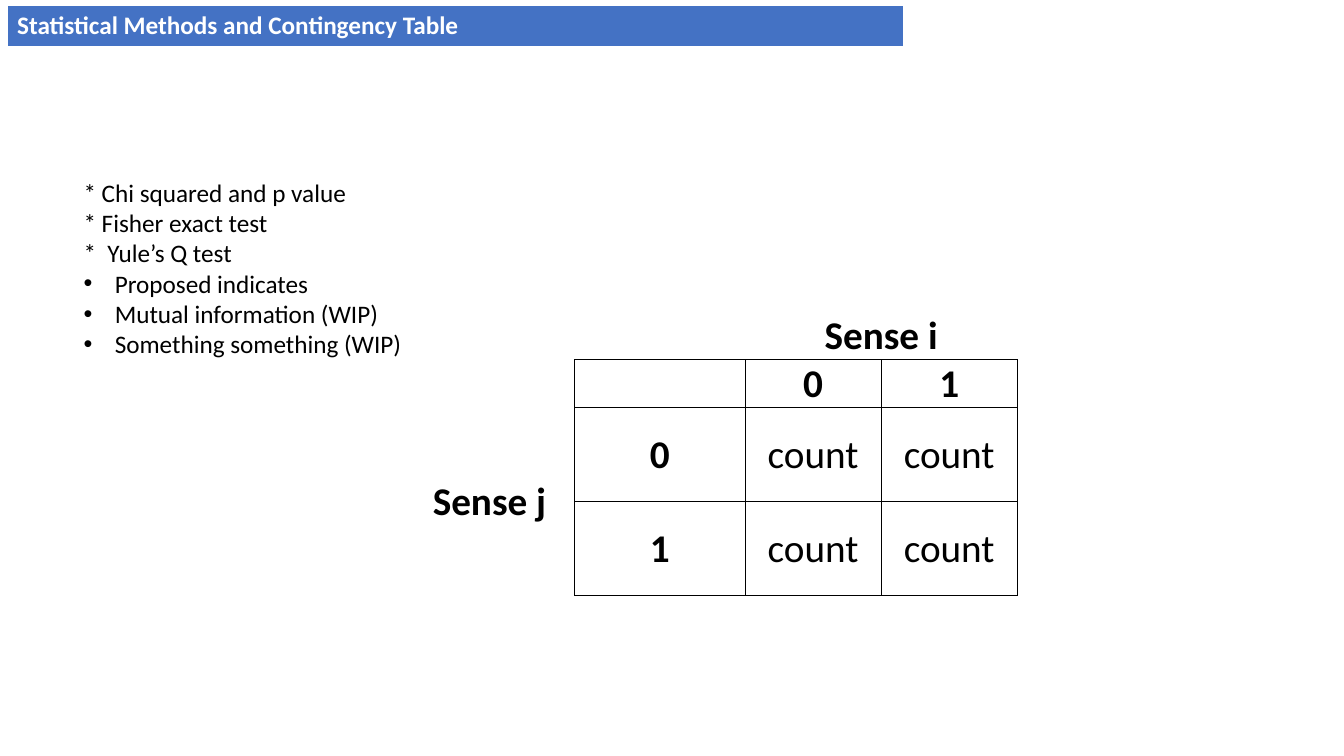
from dataclasses import dataclass

from lxml.etree import SubElement
from pptx import Presentation
from pptx.dml.color import RGBColor
from pptx.enum.text import MSO_ANCHOR, MSO_AUTO_SIZE, PP_ALIGN
from pptx.oxml.ns import qn
from pptx.slide import Slide
from pptx.table import Table, _Cell
from pptx.text.text import TextFrame, _Paragraph
from pptx.util import Inches, Pt


@dataclass(frozen=True)
class Theme:
    """Colours, font and type sizes of the slide."""

    font: str = "Calibri"
    ink: str = "000000"
    paper: str = "FFFFFF"
    banner: str = "4472C4"
    body_size: int = 18
    count_size: int = 28
    grid_width: float = 0.5


@dataclass(frozen=True)
class Method:
    """A line in the list of statistical methods."""

    text: str
    bulleted: bool = False


@dataclass(frozen=True)
class Entry:
    """A labelled cell of the contingency table."""

    row: int
    column: int
    text: str
    bold: bool = True
    row_span: int = 1
    column_span: int = 1


THEME = Theme()
METHODS = [
    Method("* Chi squared and p value"),
    Method("* Fisher exact test"),
    Method("*  Yule’s Q test"),
    Method("Proposed indicates", bulleted=True),
    Method("Mutual information (WIP)", bulleted=True),
    Method("Something something (WIP)", bulleted=True),
]
ENTRIES = [
    Entry(0, 2, "Sense i", column_span=2),
    Entry(2, 0, "Sense j", row_span=2),
    *(Entry(1, 2 + value, str(value)) for value in (0, 1)),
    *(Entry(2 + value, 1, str(value)) for value in (0, 1)),
    *(Entry(row, column, "count", bold=False) for row in (2, 3) for column in (2, 3)),
]


def write(frame: TextFrame, text: str, *, size: int = THEME.body_size, color: str = THEME.ink,
          bold: bool = False, align: PP_ALIGN = PP_ALIGN.LEFT) -> _Paragraph:
    """Write a formatted paragraph, using the empty first one when there is one."""
    first = frame.paragraphs[0]
    paragraph = frame.add_paragraph() if first.runs else first
    paragraph.alignment = align
    run = paragraph.add_run()
    run.text = text
    run.font.name = THEME.font
    run.font.size = Pt(size)
    run.font.bold = bold
    run.font.color.rgb = RGBColor.from_string(color)
    return paragraph


def add_bullet(paragraph: _Paragraph) -> None:
    """Give the paragraph a hanging round bullet."""
    properties = paragraph._p.get_or_add_pPr()
    properties.set("marL", str(Inches(0.31)))
    properties.set("indent", str(Inches(-0.31)))
    SubElement(properties, qn("a:buFont"), typeface="Arial")
    SubElement(properties, qn("a:buChar"), char="•")


def set_borders(cell: _Cell, visible: str, *, color: str = THEME.ink,
                width: float = THEME.grid_width) -> None:
    """Draw the sides named in visible (letters of LRTB) and hide the others."""
    properties = cell._tc.get_or_add_tcPr()
    for position, side in enumerate("LRTB"):
        line = SubElement(properties, qn(f"a:ln{side}"), w=str(Pt(width)))
        if side in visible:
            fill = SubElement(line, qn("a:solidFill"))
            SubElement(fill, qn("a:srgbClr"), val=color)
        else:
            SubElement(line, qn("a:noFill"))
        properties.insert(position, line)


def add_grid(slide: Slide, left: float, top: float, widths: list[float],
             heights: list[float]) -> Table:
    """Add a table with the given column widths and row heights in inches."""
    grid = slide.shapes.add_table(len(heights), len(widths), Inches(left), Inches(top),
                                  Inches(sum(widths)), Inches(sum(heights))).table
    grid.first_row = grid.horz_banding = False
    for column, width in zip(grid.columns, widths):
        column.width = Inches(width)
    for row, height in zip(grid.rows, heights):
        row.height = Inches(height)
    return grid


def add_banner(slide: Slide) -> None:
    """Add the title banner."""
    title = add_grid(slide, 0.07, 0.05, [8.89], [0.41]).cell(0, 0)
    title.fill.solid()
    title.fill.fore_color.rgb = RGBColor.from_string(THEME.banner)
    set_borders(title, "LRTB", color=THEME.paper, width=1)
    write(title.text_frame, "Statistical Methods and Contingency Table",
          color=THEME.paper, bold=True)


def add_methods(slide: Slide) -> None:
    """Add the list of statistical methods."""
    frame = slide.shapes.add_textbox(Inches(0.73), Inches(1.71), Inches(3.39),
                                     Inches(3.13)).text_frame
    frame.word_wrap = False
    frame.auto_size = MSO_AUTO_SIZE.SHAPE_TO_FIT_TEXT
    for method in METHODS:
        paragraph = write(frame, method.text)
        if method.bulleted:
            add_bullet(paragraph)


def visible_sides(row: int, column: int) -> str:
    """Name the drawn sides: all inside the grid, the shared one beside it."""
    if row and column:
        return "LRTB"
    if row:
        return "R"
    return "B" if column else ""


def add_contingency_table(slide: Slide) -> None:
    """Add the contingency table of the two senses."""
    widths, heights = [1.69, 1.69, 1.35, 1.35], [0.47, 0.47, 0.93, 0.93]
    counts = add_grid(slide, 4.01, 3.09, widths, heights)
    for row in range(len(heights)):
        for column in range(len(widths)):
            cell = counts.cell(row, column)
            cell.fill.background()
            cell.vertical_anchor = MSO_ANCHOR.MIDDLE
            cell.margin_left = cell.margin_right = cell.margin_top = Inches(0.01)
            cell.margin_bottom = Inches(0)
            set_borders(cell, visible_sides(row, column))
    for entry in ENTRIES:
        cell = counts.cell(entry.row, entry.column)
        if entry.row_span > 1 or entry.column_span > 1:
            cell.merge(counts.cell(entry.row + entry.row_span - 1,
                                   entry.column + entry.column_span - 1))
        write(cell.text_frame, entry.text, size=THEME.count_size, bold=entry.bold,
              align=PP_ALIGN.CENTER)


def main() -> None:
    """Build and save the slide."""
    presentation = Presentation()
    presentation.slide_width = Inches(13.33)
    presentation.slide_height = Inches(7.5)
    slide = presentation.slides.add_slide(presentation.slide_layouts[6])
    add_banner(slide)
    add_methods(slide)
    add_contingency_table(slide)
    presentation.save("out.pptx")


if __name__ == "__main__":
    main()
